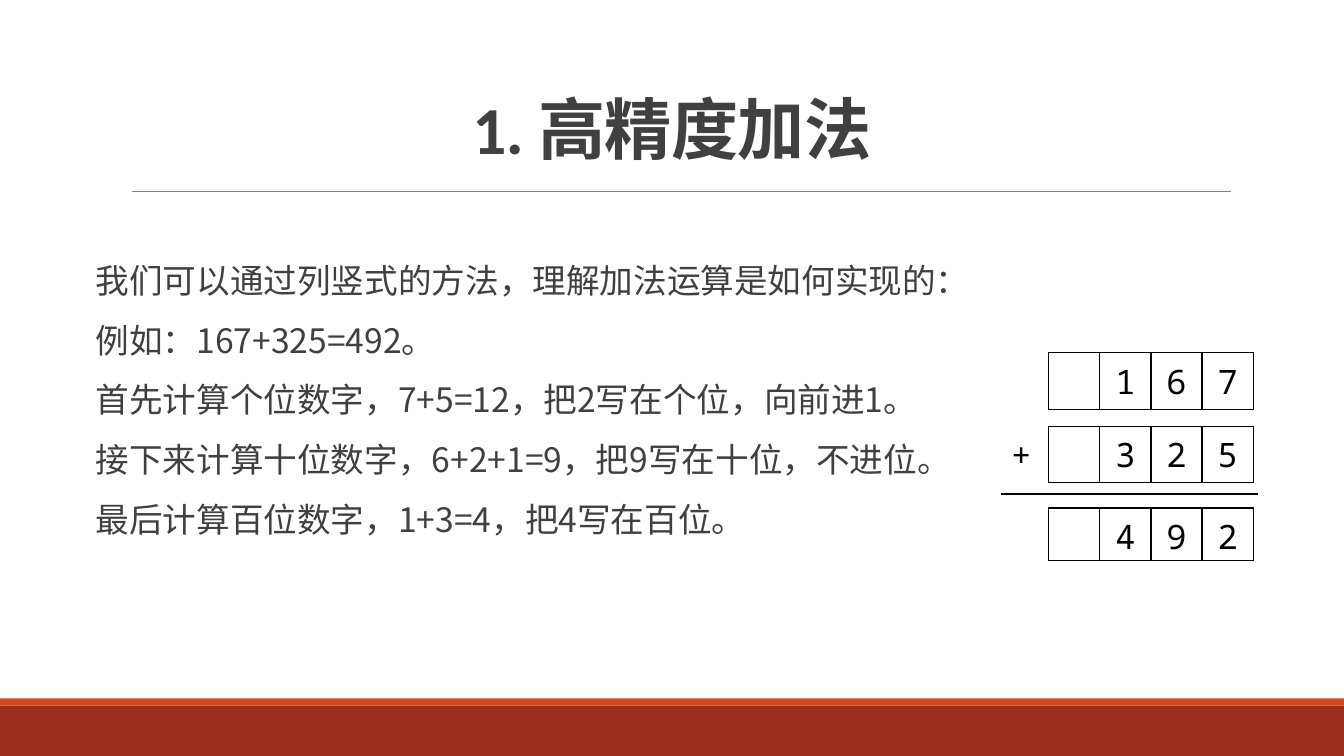
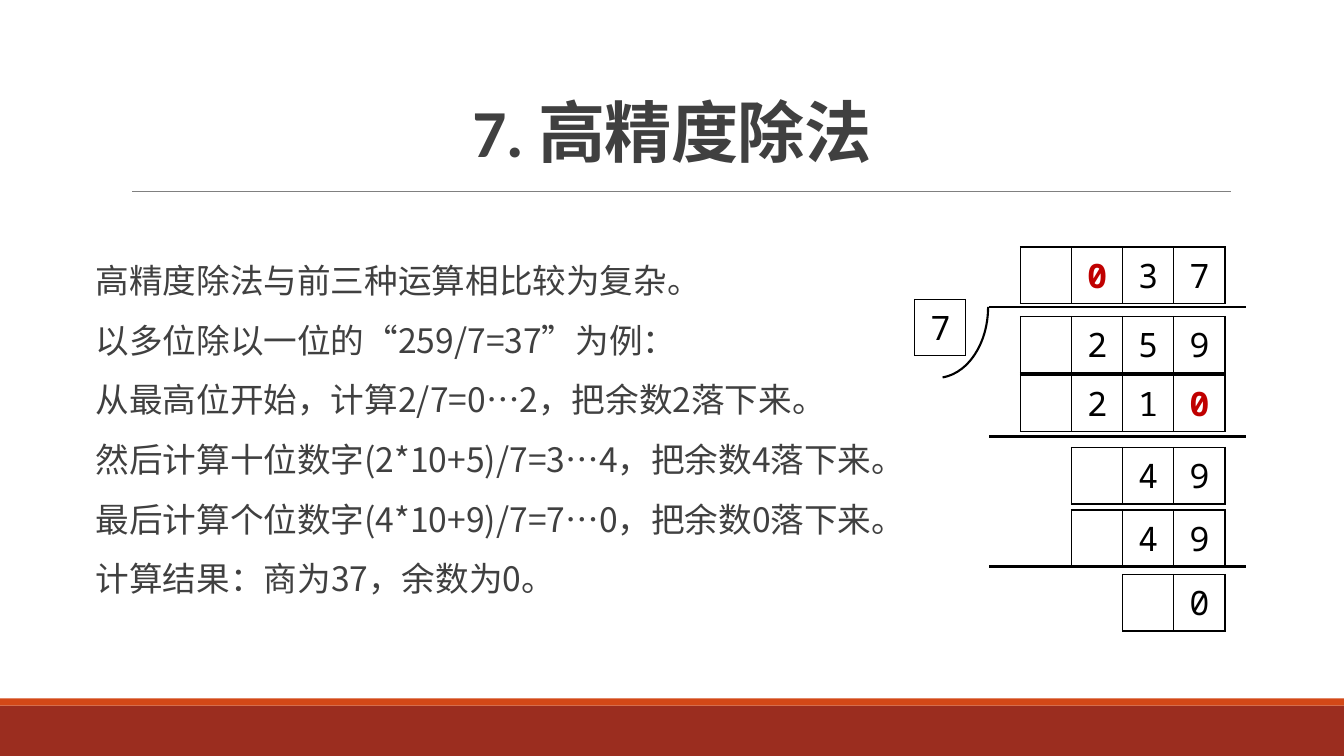
from lxml import etree
from pptx import Presentation
from pptx.dml.color import RGBColor
from pptx.enum import shapes, text
from pptx.oxml import ns
from pptx.util import Inches, Pt

COLORS = {
    "band": "9B2D1F",
    "accent": "D34817",
    "rule": "808080",
    "text": "404040",
    "ink": "000000",
    "mark": "C00000",
}
TITLE_FONT, BODY_FONT, DIGIT_FONT = "Calibri", "Noto Sans CJK SC", "Noto Sans Mono"
SLIDE_WIDTH, SLIDE_HEIGHT = 13.33, 7.5
CELL_WIDTH, CELL_HEIGHT = 2.03 / 4, 0.56
RULE_LENGTH = 2.55

# Digit rows: digits, leading blank cells, right edge, top, index of the red
# digit and, where it is not CELL_HEIGHT, the height.
# Rules: left, top. Signs: text, left, top. Arcs: left, top, width, height.
SLIDES = [
    {
        "title": "1. 高精度加法",
        "title_height": 1.05,
        "body": [
            "我们可以通过列竖式的方法，理解加法运算是如何实现的：",
            "例如：167+325=492。",
            "首先计算个位数字，7+5=12，把2写在个位，向前进1。",
            "接下来计算十位数字，6+2+1=9，把9写在十位，不进位。",
            "最后计算百位数字，1+3=4，把4写在百位。",
        ],
        "digit_rows": [
            ("167", 1, 12.43, 3.5, None),
            ("325", 1, 12.43, 4.23, None),
            ("492", 1, 12.43, 5.04, None, 0.52),
        ],
        "rules": [(9.93, 4.9)],
        "signs": [("+", 9.93, 4.26)],
        "arcs": [],
    },
    {
        "title": "7. 高精度除法",
        "title_height": 1.08,
        "body": [
            "高精度除法与前三种运算相比较为复杂。",
            "以多位除以一位的“259/7=37”为例：",
            "从最高位开始，计算2/7=0…2，把余数2落下来。",
            "然后计算十位数字(2*10+5)/7=3…4，把余数4落下来。",
            "最后计算个位数字(4*10+9)/7=7…0，把余数0落下来。",
            "计算结果：商为37，余数为0。",
        ],
        "digit_rows": [
            ("037", 1, 12.15, 2.45, 0),
            ("7", 0, 9.58, 2.97, None),
            ("259", 1, 12.15, 3.14, None),
            ("210", 1, 12.15, 3.72, 2),
            ("49", 1, 12.15, 4.44, None),
            ("49", 1, 12.15, 5.06, None),
            ("0", 1, 12.15, 5.7, None),
        ],
        "rules": [(9.81, 3.05), (9.81, 4.33), (9.81, 5.62)],
        "signs": [],
        "arcs": [(8.58, 2.53, 1.41, 1.03)],
    },
]


def color(name):
    return RGBColor.from_string(COLORS[name])


def style_font(font, name, size, color_name, bold=False):
    """Set the font for both Latin and East Asian characters."""
    font.name, font.size, font.bold = name, Pt(size), bold
    font.color.rgb = color(color_name)
    latin = font._element.find(ns.qn("a:latin"))
    east_asian = etree.Element(ns.qn("a:ea"), typeface=BODY_FONT)
    latin.addnext(east_asian)


def add_text_box(slide, left, top, width, height, wrap=True):
    box = slide.shapes.add_textbox(
        Inches(left), Inches(top), Inches(width), Inches(height))
    box.text_frame.word_wrap = wrap
    return box.text_frame


def add_line(slide, left, top, length, color_name, weight):
    line = slide.shapes.add_connector(
        shapes.MSO_CONNECTOR.STRAIGHT,
        Inches(left), Inches(top), Inches(left + length), Inches(top))
    line.line.color.rgb = color(color_name)
    line.line.width = Pt(weight)
    etree.SubElement(line._element.spPr, ns.qn("a:effectLst"))


def add_frame(slide):
    """Add the footer bands and the line under the title."""
    for top, height, color_name in [(7, 0.5, "band"), (6.93, 0.07, "accent")]:
        band = slide.shapes.add_shape(
            shapes.MSO_SHAPE.RECTANGLE,
            0, Inches(top), Inches(SLIDE_WIDTH), Inches(height))
        band.shadow.inherit = False
        band.fill.solid()
        band.fill.fore_color.rgb = color(color_name)
        band.line.fill.background()
    add_line(slide, 1.31, 1.9, 10.9, "rule", 0.5)


def add_title(slide, title, height):
    frame = add_text_box(slide, 1.25, 0.67, 10.83, height)
    frame.vertical_anchor = text.MSO_ANCHOR.BOTTOM
    para = frame.paragraphs[0]
    para.text = title
    para.alignment = text.PP_ALIGN.CENTER
    para.line_spacing = 0.85
    style_font(para.font, TITLE_FONT, 48, "text", bold=True)
    para.font._element.set("spc", "-50")


def add_body(slide, lines):
    frame = add_text_box(slide, 0.95, 2.45, 11.53, 3.89)
    frame.margin_left = frame.margin_right = 0
    for index, line in enumerate(lines):
        para = frame.add_paragraph() if index else frame.paragraphs[0]
        para.text = line
        para.alignment = text.PP_ALIGN.JUSTIFY
        para.line_spacing = 1.2
        para.space_before, para.space_after = Pt(6), Pt(2)
        style_font(para.font, BODY_FONT, 24, "text")


def add_borders(cell):
    properties = cell._tc.get_or_add_tcPr()
    for index, side in enumerate(["a:lnL", "a:lnR", "a:lnT", "a:lnB"]):
        border = etree.Element(ns.qn(side), w=str(Pt(1)))
        fill = etree.SubElement(border, ns.qn("a:solidFill"))
        etree.SubElement(fill, ns.qn("a:srgbClr"), val=COLORS["ink"])
        properties.insert(index, border)


def add_digit_row(slide, digits, blanks, right, top, marked, height=CELL_HEIGHT):
    count = blanks + len(digits)
    width = count * CELL_WIDTH
    table = slide.shapes.add_table(
        1, count, Inches(right - width), Inches(top),
        Inches(width), Inches(height)).table
    table.first_row = table.horz_banding = False
    for column in range(count):
        table.columns[column].width = Inches(CELL_WIDTH)
        cell = table.cell(0, column)
        cell.fill.background()
        add_borders(cell)
        position = column - blanks
        if position < 0:
            continue
        is_marked = position == marked
        cell.vertical_anchor = text.MSO_ANCHOR.MIDDLE
        para = cell.text_frame.paragraphs[0]
        para.text = digits[position]
        para.alignment = text.PP_ALIGN.CENTER
        style_font(para.font, DIGIT_FONT, 24,
                   "mark" if is_marked else "ink", is_marked)


def add_sign(slide, sign, left, top):
    para = add_text_box(slide, left, top, 0.39, 0.5, wrap=False).paragraphs[0]
    para.text = sign
    style_font(para.font, DIGIT_FONT, 24, "ink")


def add_division_arc(slide, left, top, width, height):
    arc = slide.shapes.add_shape(
        shapes.MSO_SHAPE.ARC,
        Inches(left), Inches(top), Inches(width), Inches(height))
    for index, degrees in enumerate([270, 354.8]):
        arc.adjustments[index] = degrees * 0.6
    arc.rotation = 90
    arc.shadow.inherit = False
    arc.fill.background()
    arc.line.color.rgb = color("ink")
    arc.line.width = Pt(1.5)


def main():
    deck = Presentation()
    deck.slide_width, deck.slide_height = Inches(SLIDE_WIDTH), Inches(SLIDE_HEIGHT)
    for content in SLIDES:
        slide = deck.slides.add_slide(deck.slide_layouts[6])
        add_frame(slide)
        add_title(slide, content["title"], content["title_height"])
        add_body(slide, content["body"])
        for row in content["digit_rows"]:
            add_digit_row(slide, *row)
        for left, top in content["rules"]:
            add_line(slide, left, top, RULE_LENGTH, "ink", 1.5)
        for sign in content["signs"]:
            add_sign(slide, *sign)
        for arc in content["arcs"]:
            add_division_arc(slide, *arc)
    deck.save("out.pptx")


if __name__ == "__main__":
    main()
